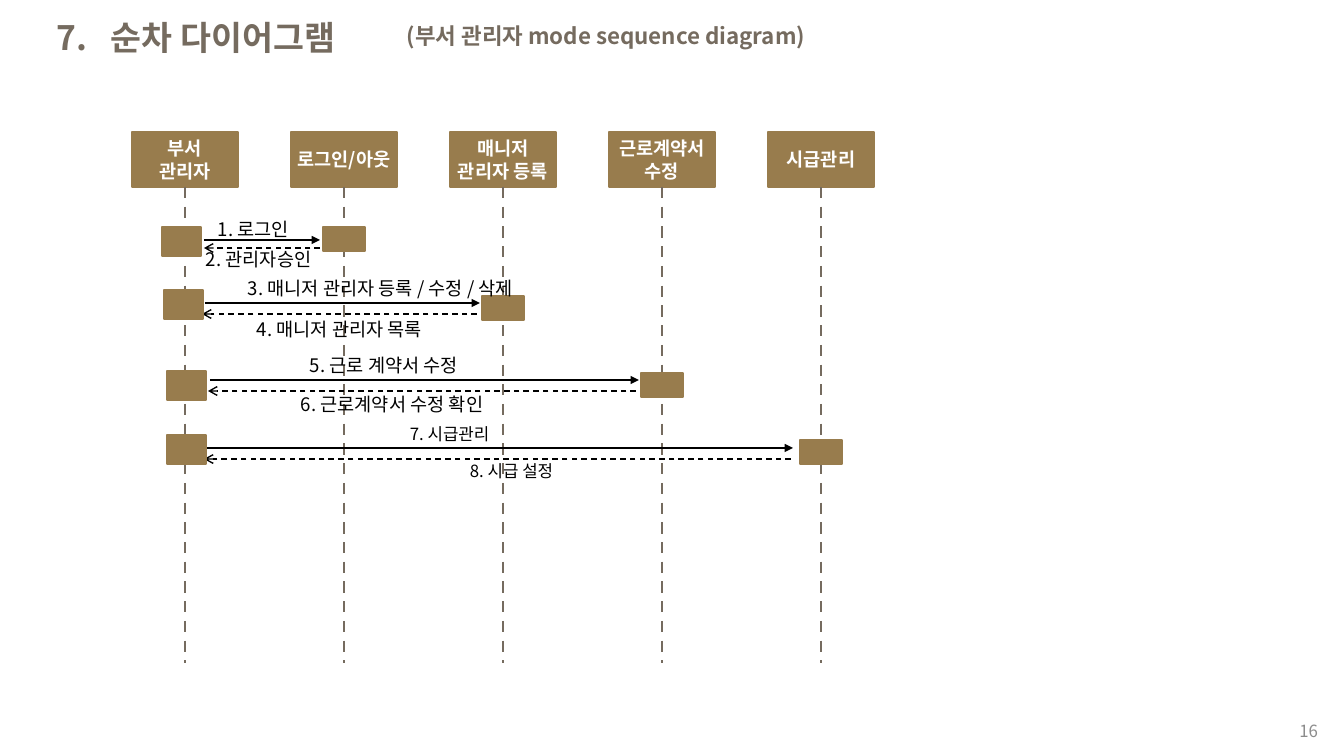
from collections import namedtuple

from lxml import etree
from pptx import Presentation
from pptx import util as u
from pptx.dml.color import RGBColor
from pptx.enum import dml, shapes, text
from pptx.oxml.ns import qn

PIXEL = 914400 / 100.8
FONT = "Noto Sans CJK KR"
BROWN = RGBColor(0x98, 0x7C, 0x4D)
TAUPE = RGBColor(0x75, 0x6B, 0x5F)
GRAY = RGBColor(0x8C, 0x8C, 0x8C)
BLACK = RGBColor(0, 0, 0)
WHITE = RGBColor(255, 255, 255)

# Participants stand in equal columns
COLUMN_LEFT, COLUMN_STEP = 132, 159
HEADER_TOP, HEADER_WIDTH, HEADER_HEIGHT = 132, 106, 55
LIFELINE_END = 663
PARTICIPANTS = ["부서\n관리자", "로그인/아웃", "매니저\n관리자 등록",
                "근로계약서 수정", "시급관리"]

# actor: left, top; arrows: from x, to x, y; labels: text, left, top, width
Exchange = namedtuple(
    "Exchange", "actor target_top call reply call_label reply_label size")
EXCHANGES = [
    Exchange((162, 227), 227, (204, 320, 240), (320, 204, 248),
             ("1. 로그인", 208, 213, 98),
             ("2. 관리자승인", 196, 243, 136), 13.3),
    Exchange((164, 290), 296, (205, 480, 303), (477, 202, 314),
             ("3. 매니저 관리자 등록 / 수정 / 삭제", 238, 272, 323),
             ("4. 매니저 관리자 목록", 247, 313, 213), 13.3),
    Exchange((167, 371), 373, (210, 639, 380), (636, 208, 391),
             ("5. 근로 계약서 수정", 300, 349, 186),
             ("6. 근로계약서 수정 확인", 291, 388, 225), 13.3),
    Exchange((167, 435), 440, (207, 793, 448), (791, 204, 459),
             ("7. 시급관리", 400, 419, 113),
             ("8. 시급 설정", 460, 456, 113), 12),
]


def px(*values):
    return [u.Emu(round(value * PIXEL)) for value in values]


def lifeline_x(column):
    return COLUMN_LEFT + HEADER_WIDTH // 2 + column * COLUMN_STEP


def write(shape, content, size=13.3, color=BLACK, bold=False, wrap=True,
          align=text.PP_ALIGN.LEFT, anchor=text.MSO_ANCHOR.TOP, hanging=0):
    frame = shape.text_frame
    frame.word_wrap = wrap
    frame.vertical_anchor = anchor
    frame.text = content
    for paragraph in frame.paragraphs:
        paragraph.alignment = align
        if hanging:
            indent = px(hanging)[0]
            properties = paragraph._p.get_or_add_pPr()
            properties.set("marL", str(int(indent)))
            properties.set("indent", str(-int(indent)))
        for run in paragraph.runs:
            run.font.size = u.Pt(size)
            run.font.bold = bold
            run.font.color.rgb = color
            run.font.name = FONT
            east_asian = etree.SubElement(run._r.get_or_add_rPr(), qn("a:ea"))
            east_asian.set("typeface", FONT)


def add_label(slide, content, left, top, width, height=33, **style):
    box = slide.shapes.add_textbox(*px(left, top, width, height))
    write(box, content, **style)


def add_block(slide, left, top, width, height):
    block = slide.shapes.add_shape(
        shapes.MSO_SHAPE.RECTANGLE, *px(left, top, width, height))
    block.shadow.inherit = False
    block.fill.solid()
    block.fill.fore_color.rgb = BROWN
    block.line.color.rgb = BROWN
    block.line.width = u.Pt(1)
    return block


def add_line(slide, x1, y1, x2, y2, color=BLACK, width=1, dashed=False,
             head=None):
    connector = slide.shapes.add_connector(
        shapes.MSO_CONNECTOR.STRAIGHT, *px(x1, y1, x2, y2))
    connector.line.color.rgb = color
    connector.line.width = u.Pt(width)
    if dashed:
        connector.line.dash_style = dml.MSO_LINE.DASH
    if head:
        line = connector.line._get_or_add_ln()
        etree.SubElement(line, qn("a:tailEnd")).set("type", head)
    etree.SubElement(connector._element.spPr, qn("a:effectLst"))


def add_participant(slide, column, name):
    left = COLUMN_LEFT + column * COLUMN_STEP
    header = add_block(slide, left, HEADER_TOP, HEADER_WIDTH, HEADER_HEIGHT)
    frame = header.text_frame
    frame.margin_left = frame.margin_right = 0
    frame.margin_top = frame.margin_bottom = 0
    write(header, name, color=WHITE, bold=True,
          align=text.PP_ALIGN.CENTER, anchor=text.MSO_ANCHOR.MIDDLE)
    x = lifeline_x(column)
    add_line(slide, x, HEADER_TOP + HEADER_HEIGHT, x, LIFELINE_END,
             color=TAUPE, width=2, dashed=True)


def add_exchange(slide, column, exchange):
    start, end, y = exchange.call
    add_line(slide, start, y, end, y, head="triangle")
    start, end, y = exchange.reply
    add_line(slide, start, y, end, y, dashed=True, head="arrow")
    add_block(slide, *exchange.actor, 39, 29)
    add_block(slide, lifeline_x(column) - 21, exchange.target_top, 42, 24)
    for label in (exchange.call_label, exchange.reply_label):
        add_label(slide, *label, size=exchange.size, wrap=False)


def main():
    presentation = Presentation()
    presentation.slide_width, presentation.slide_height = px(1344, 756)
    slide = presentation.slides.add_slide(presentation.slide_layouts[6])

    # Headings and page number
    add_label(slide, "7.\t순차 다이어그램", 47, 12, 431, 50,
              size=24, color=TAUPE, bold=True, hanging=54)
    add_label(slide, "(부서 관리자 mode sequence diagram)", 397, 17, 445, 37,
              size=16, color=TAUPE, bold=True)
    add_label(slide, "16", 1015, 711, 313, 40, size=12, color=GRAY,
              align=text.PP_ALIGN.RIGHT, anchor=text.MSO_ANCHOR.MIDDLE)

    # Participants with lifelines
    for column, name in enumerate(PARTICIPANTS):
        add_participant(slide, column, name)

    # Each exchange reaches one column further
    for column, exchange in enumerate(EXCHANGES, start=1):
        add_exchange(slide, column, exchange)

    presentation.save("out.pptx")


main()
